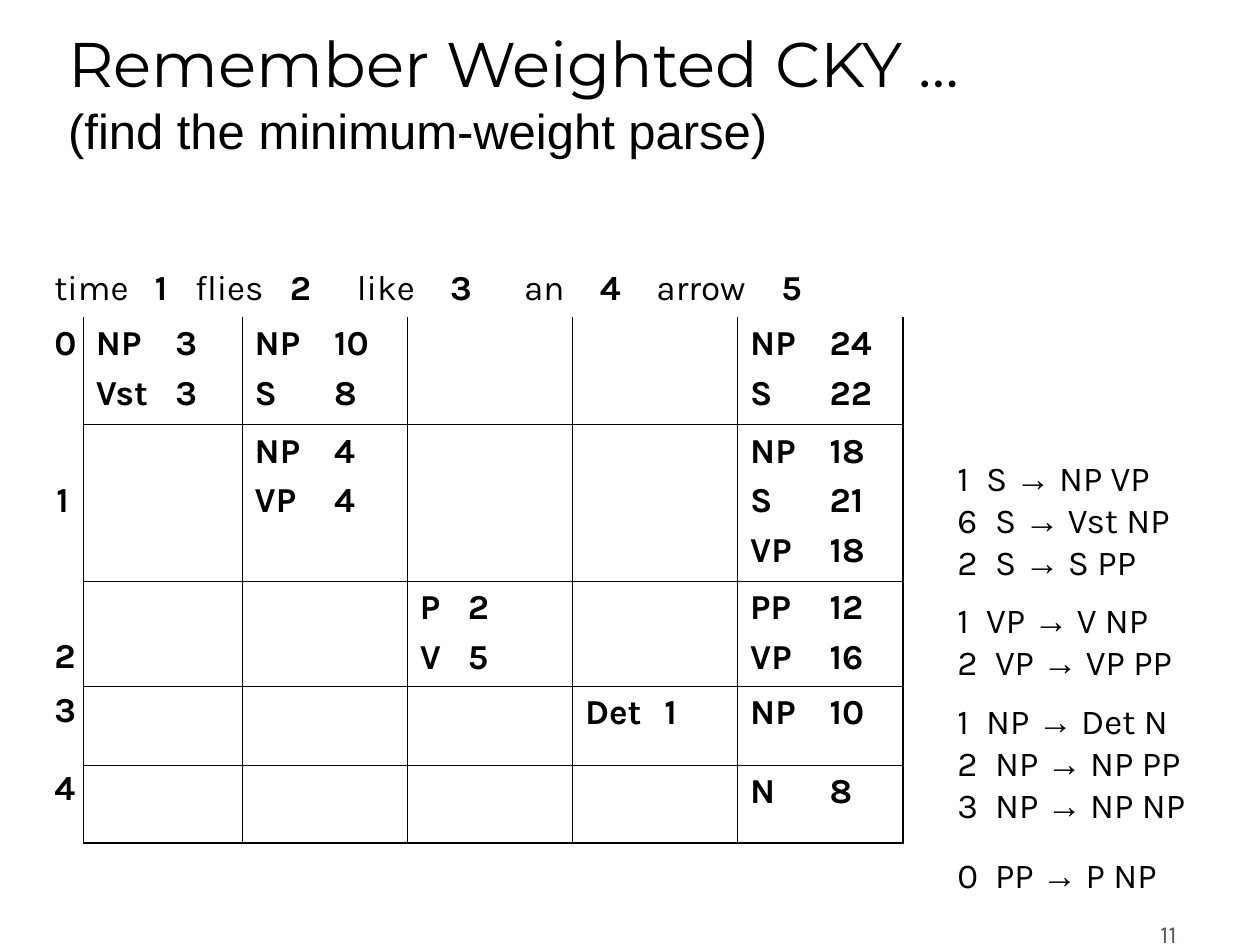
from lxml.etree import SubElement
from pptx import Presentation
from pptx.dml.color import RGBColor
from pptx.enum.text import MSO_ANCHOR, MSO_AUTO_SIZE, PP_ALIGN
from pptx.oxml.ns import qn
from pptx.util import Cm, Pt

COLORS = {"text": "000000", "number": "5E574E", "border": "000000"}


def format_run(run, size, font="Karla", bold=False, color="text"):
    run.font.size = Pt(size)
    run.font.name = font
    run.font.bold = bold
    run.font.color.rgb = RGBColor.from_string(COLORS[color])


def add_tab_stops(paragraph, positions):
    """Add left tab stops, given in centimetres."""
    tab_list = SubElement(paragraph._p.get_or_add_pPr(), qn("a:tabLst"))
    for position in positions:
        SubElement(tab_list, qn("a:tab"), pos=str(Cm(position)), algn="l")


presentation = Presentation()
presentation.slide_width = Cm(25.4)
presentation.slide_height = Cm(19.05)
slide = presentation.slides.add_slide(presentation.slide_layouts[5])

# Title
title = slide.shapes.title
title.left, title.top, title.width, title.height = Cm(1.12), Cm(0.15), Cm(21.59), Cm(3.18)
title_frame = title.text_frame
title_frame.text = "Remember Weighted CKY …\v(find the minimum-weight parse)"
title_frame.auto_size = MSO_AUTO_SIZE.NONE
title_frame.vertical_anchor = MSO_ANCHOR.BOTTOM
title_paragraph = title_frame.paragraphs[0]
title_paragraph.alignment = PP_ALIGN.LEFT
format_run(title_paragraph.runs[0], 36, "Montserrat")
format_run(title_paragraph.runs[1], 28, "Arial")

# Parse chart
column_widths = [0.84, 3.2] + [3.33] * 4
row_heights = [1.12, 2.16, 3.15, 2.13, 1.58, 1.57]
row_count, column_count = len(row_heights), len(column_widths)
table = slide.shapes.add_table(
    row_count, column_count, Cm(0.84), Cm(5.28),
    Cm(sum(column_widths)), Cm(sum(row_heights))).table
table.first_row = False
table.horz_banding = False
for column, width in zip(table.columns, column_widths):
    column.width = Cm(width)
for row, height in zip(table.rows, row_heights):
    row.height = Cm(height)

for row in range(row_count):
    for column in range(column_count):
        cell = table.cell(row, column)
        inside = row > 0 and column > 0
        right_width = 1.08 if column == column_count - 1 else 0.45
        bottom_width = 1.08 if row == row_count - 1 else 0.45
        borders = {
            "a:lnL": 0.45 if inside else 0,
            "a:lnR": right_width if row > 0 else 0,
            "a:lnT": 0.45 if inside and row > 1 else 0,
            "a:lnB": bottom_width if inside else 0,
        }
        properties = cell._tc.get_or_add_tcPr()
        for tag, width in borders.items():
            line = SubElement(properties, qn(tag), w=str(Pt(width)))
            if width:
                fill = SubElement(line, qn("a:solidFill"))
                SubElement(fill, qn("a:srgbClr"), val=COLORS["border"])
            else:
                SubElement(line, qn("a:noFill"))
        cell.fill.background()

# Sentence with the positions between its words
sentence_cell = table.cell(0, 0)
sentence_cell.merge(table.cell(0, column_count - 1))
sentence = sentence_cell.text_frame.paragraphs[0]
add_tab_stops(sentence, [2.03, 2.84, 4.75, 6.1, 7.98, 9.47, 11, 12.14, 14.66])
words = ["time", "flies", "like", "an", "arrow"]
for position, word in enumerate(words, start=1):
    word_run = sentence.add_run()
    word_run.text = word + "\t"
    format_run(word_run, 20)
    position_run = sentence.add_run()
    position_run.text = f"{position}\t" if position < len(words) else str(position)
    format_run(position_run, 20, bold=True)

# Start positions down the side
for start, spacing in enumerate([1, 2.2, 2.2, 0.9, 0.9]):
    cell = table.cell(start + 1, 0)
    cell.text_frame.text = str(start)
    paragraph = cell.text_frame.paragraphs[0]
    paragraph.alignment = PP_ALIGN.CENTER
    paragraph.line_spacing = spacing
    format_run(paragraph.runs[0], 20, bold=True)

# Constituents and weights, keyed by start and end position
constituents = {
    (0, 1): [("NP", 3), ("Vst", 3)],
    (0, 2): [("NP", 10), ("S", 8)],
    (0, 5): [("NP", 24), ("S", 22)],
    (1, 2): [("NP", 4), ("VP", 4)],
    (1, 5): [("NP", 18), ("S", 21), ("VP", 18)],
    (2, 3): [("P", 2), ("V", 5)],
    (2, 5): [("PP", 12), ("VP", 16)],
    (3, 4): [("Det", 1)],
    (3, 5): [("NP", 10)],
    (4, 5): [("N", 8)],
}
for (start, end), entries in constituents.items():
    text_frame = table.cell(start + 1, end).text_frame
    text_frame.text = "\n".join(f"{symbol}\t{weight}" for symbol, weight in entries)
    for index, paragraph in enumerate(text_frame.paragraphs):
        add_tab_stops(paragraph, [0.97 if end == 3 else 1.6])
        if index > 0:
            paragraph.space_before = Pt(5)
        format_run(paragraph.runs[0], 20, bold=True)

# Weighted grammar rules, grouped by left-hand side
rule_groups = [
    [(1, "S", "NP VP"), (6, "S", "Vst NP"), (2, "S", "S PP")],
    [(1, "VP", "V NP"), (2, "VP", "VP PP")],
    [(1, "NP", "Det N"), (2, "NP", "NP PP"), (3, "NP", "NP NP")],
    [(0, "PP", "P NP")],
]
grammar_box = slide.shapes.add_textbox(Cm(19.05), Cm(9.07), Cm(6.78), Cm(9.14))
grammar_frame = grammar_box.text_frame
grammar_frame.word_wrap = True
paragraph = grammar_frame.paragraphs[0]
for group_index, group in enumerate(rule_groups):
    for rule_index, (weight, left_side, right_side) in enumerate(group):
        if group_index + rule_index > 0:
            paragraph = grammar_frame.add_paragraph()
        add_tab_stops(paragraph, [0.58 if weight == 1 else 0.76])
        if group_index > 0 and rule_index == 0:
            paragraph.line_spacing = 1.4
        for text, font in [(f"{weight}\t{left_side} ", "Karla"), ("→", "Arial"),
                           (f" {right_side}", "Karla")]:
            run = paragraph.add_run()
            run.text = text
            format_run(run, 20, font)
paragraph.space_before = Pt(6)

# Slide number
number_box = slide.shapes.add_textbox(Cm(18.69), Cm(17.98), Cm(5.28), Cm(1.27))
number_frame = number_box.text_frame
number_frame.word_wrap = True
number_frame.vertical_anchor = MSO_ANCHOR.BOTTOM
number_frame.text = "11"
number_paragraph = number_frame.paragraphs[0]
number_paragraph.alignment = PP_ALIGN.RIGHT
format_run(number_paragraph.runs[0], 14, color="number")

presentation.save("out.pptx")
